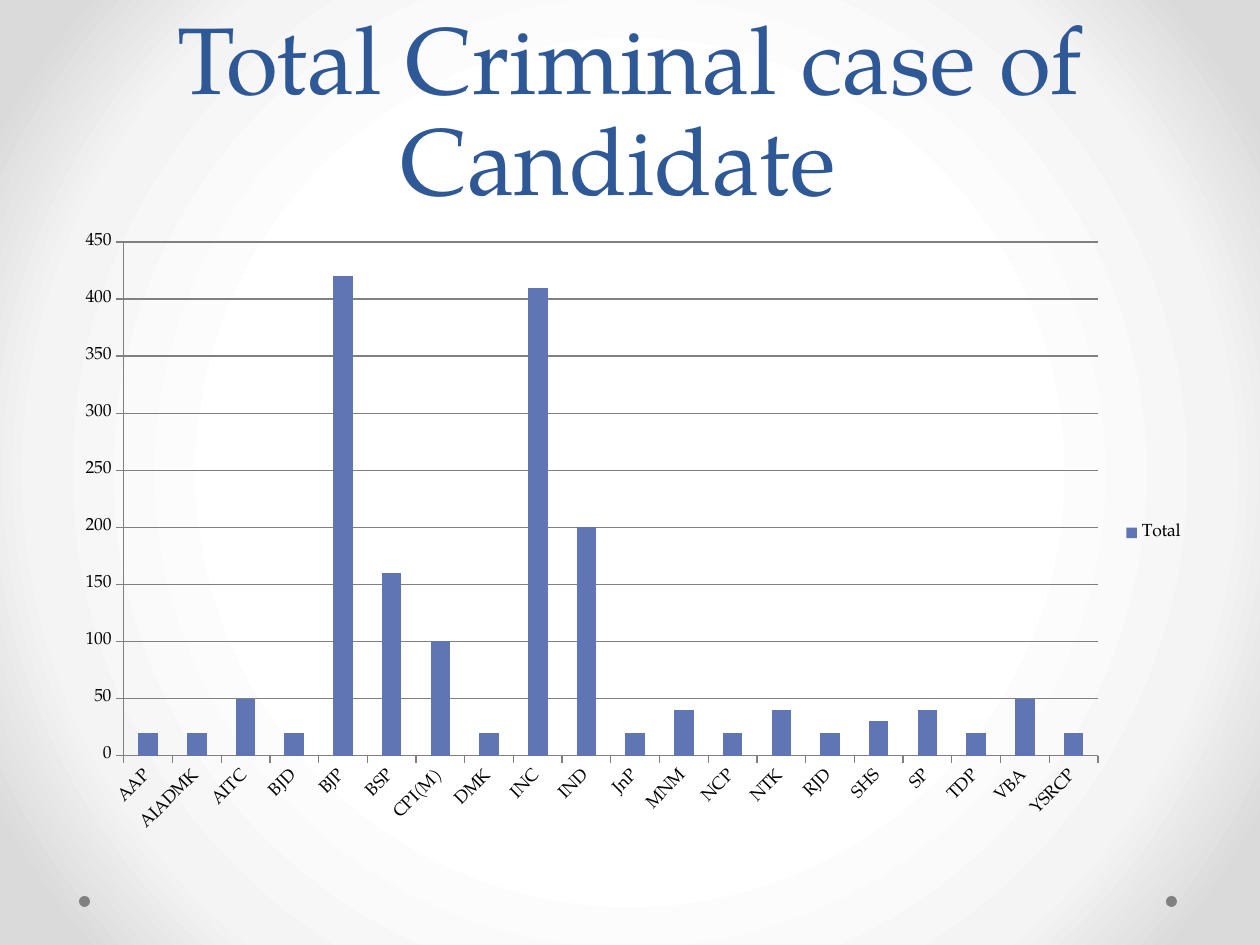
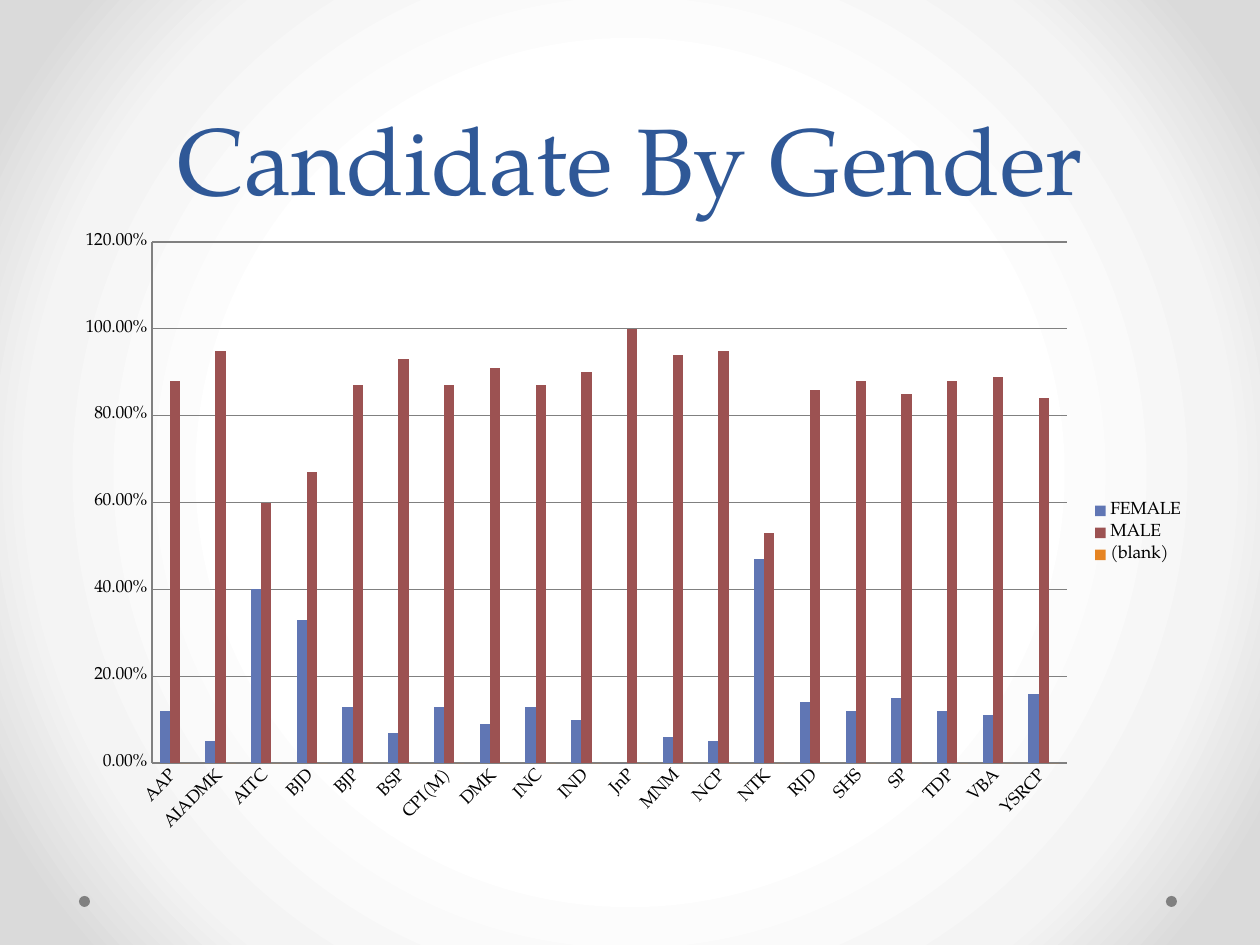
"""Two slides of election charts with a shared title style, backdrop and corner dots."""
from dataclasses import dataclass

from lxml.etree import SubElement
from pptx import Presentation
from pptx.chart.data import CategoryChartData
from pptx.dml.color import RGBColor
from pptx.enum.chart import XL_CHART_TYPE as Chart, XL_LEGEND_POSITION as Legend
from pptx.enum.chart import XL_TICK_MARK as Tick
from pptx.enum.shapes import MSO_SHAPE as Shape
from pptx.enum.text import MSO_ANCHOR as Anchor, MSO_AUTO_SIZE as AutoSize
from pptx.enum.text import PP_ALIGN as Align
from pptx.oxml.ns import qn
from pptx.util import Emu, Pt

PX = 914400 // 126
FONT = "TeX Gyre Pagella"
BLACK, GRAY, NAVY = "000000", "808080", "2F5897"
BLUE, RED, ORANGE = "6076B4", "9C5252", "E68422"
BACKDROP = ((50, "FFFFFF"), (76, "F4F4F4"), (92, "DADADA"))
DOT_LEFTS, DOT_TOP, DOT_SIZE = (79, 1166), 896, 11
LEFT, WIDTH = 63, 1134
TITLE_BOX = (LEFT, 0, WIDTH, 221)
CHART_BOX = (LEFT, 221, WIDTH, 624)

PARTIES = ("AAP", "AIADMK", "AITC", "BJD", "BJP", "BSP", "CPI(M)", "DMK", "INC", "IND",
           "JnP", "MNM", "NCP", "NTK", "RJD", "SHS", "SP", "TDP", "VBA", "YSRCP")
CASES = (20, 20, 50, 20, 420, 160, 100, 20, 410, 200,
         20, 40, 20, 40, 20, 30, 40, 20, 50, 20)
FEMALE = (0.12, 0.05, 0.4, 0.33, 0.13, 0.07, 0.13, 0.09, 0.13, 0.1,
          0, 0.06, 0.05, 0.47, 0.14, 0.12, 0.15, 0.12, 0.11, 0.16)
MALE = tuple(round(1 - share, 2) for share in FEMALE)


@dataclass(frozen=True)
class Series:
    """One set of columns."""
    name: str
    values: tuple
    color: str


@dataclass(frozen=True)
class ChartSlide:
    """A title and the column chart below it."""
    title: str
    series: tuple
    top: float
    step: float
    number_format: str
    tick: Tick


SLIDES = (
    ChartSlide("Total Criminal case of Candidate ", (Series("Total", CASES, BLUE),),
               450, 50, "General", Tick.OUTSIDE),
    ChartSlide("Candidate By Gender",
               (Series("FEMALE", FEMALE, BLUE), Series("MALE", MALE, RED),
                Series("(blank)", (0,) * len(PARTIES), ORANGE)),
               1.2, 0.2, "0.00%", Tick.NONE),
)


def rgb(color: str) -> RGBColor:
    """Turn a hex string into a colour."""
    return RGBColor.from_string(color)


def emu(*pixels: int) -> list:
    """Turn pixels into EMU."""
    return [Emu(n * PX) for n in pixels]


def set_font(font, size: float, color: str) -> None:
    """Apply the deck's typeface with a size and colour."""
    font.name, font.size = FONT, Pt(size)
    font.color.rgb = rgb(color)


def write_text(tf, text: str, *, size: float, color: str, align: Align,
               anchor: Anchor, spacing: float) -> None:
    """Fill a text frame with one formatted paragraph."""
    tf.word_wrap, tf.auto_size, tf.vertical_anchor = True, AutoSize.NONE, anchor
    p = tf.paragraphs[0]
    p.alignment, p.line_spacing = align, Pt(spacing)
    r = p.add_run()
    r.text = text
    set_font(r.font, size, color)


def set_backdrop(master) -> None:
    """Give the master a circular gradient that darkens outwards."""
    master.background.fill.gradient()
    grad = master.element.find(".//" + qn("a:gradFill"))
    for child in list(grad):
        grad.remove(child)
    stops = SubElement(grad, qn("a:gsLst"))
    for percent, color in BACKDROP:
        stop = SubElement(stops, qn("a:gs"), pos=str(percent * 1000))
        SubElement(stop, qn("a:srgbClr"), val=color)
    circle = SubElement(grad, qn("a:path"), {"path": "circle"})
    SubElement(circle, qn("a:fillToRect"), dict.fromkeys("ltrb", "50000"))


def add_dots(s) -> None:
    """Draw the dots in the two bottom corners."""
    for left in DOT_LEFTS:
        sp = s.shapes.add_shape(Shape.OVAL, *emu(left, DOT_TOP, DOT_SIZE, DOT_SIZE))
        sp.shadow.inherit = False
        sp.fill.solid()
        sp.fill.fore_color.rgb = rgb(GRAY)
        sp.line.fill.background()


def add_title(s, text: str) -> None:
    """Place and fill the title placeholder."""
    title = s.shapes.title
    title.left, title.top, title.width, title.height = emu(*TITLE_BOX)
    write_text(title.text_frame, text, size=54, color=NAVY, align=Align.CENTER,
               anchor=Anchor.BOTTOM, spacing=58)


def style_line(line) -> None:
    """Make an axis or grid line thin and gray."""
    line.color.rgb = rgb(GRAY)
    line.width = Pt(0.75)


def add_columns(s, content: ChartSlide) -> None:
    """Add the clustered column chart."""
    data = CategoryChartData(number_format=content.number_format)
    data.categories = PARTIES
    for item in content.series:
        data.add_series(item.name, item.values)
    chart = s.shapes.add_chart(Chart.COLUMN_CLUSTERED, *emu(*CHART_BOX), data).chart
    chart.has_title = False
    set_font(chart.font, 10, BLACK)
    chart.has_legend = True
    chart.legend.position = Legend.RIGHT
    chart.legend.include_in_layout = False

    plot = chart.plots[0]
    plot.gap_width, plot.overlap, plot.vary_by_categories = 150, 0, False
    for series, item in zip(plot.series, content.series):
        series.format.fill.solid()
        series.format.fill.fore_color.rgb = rgb(item.color)
        series.invert_if_negative = False

    cats, vals = chart.category_axis, chart.value_axis
    for axis in (cats, vals):
        axis.major_tick_mark, axis.minor_tick_mark = content.tick, Tick.NONE
        style_line(axis.format.line)
        set_font(axis.tick_labels.font, 10, BLACK)
    cats.has_major_gridlines = False
    cats._element.txPr.find(qn("a:bodyPr")).set("rot", "-2700000")
    vals.has_major_gridlines = True
    style_line(vals.major_gridlines.format.line)
    vals.minimum_scale, vals.maximum_scale, vals.major_unit = 0, content.top, content.step
    vals.tick_labels.number_format = content.number_format
    vals.tick_labels.number_format_is_linked = False


def main() -> None:
    """Build and save the deck."""
    prs = Presentation()
    prs.slide_width, prs.slide_height = emu(1260, 945)
    set_backdrop(prs.slide_master)
    title_only = prs.slide_layouts.get_by_name("Title Only")
    for content in SLIDES:
        s = prs.slides.add_slide(title_only)
        add_dots(s)
        add_title(s, content.title)
        add_columns(s, content)
    prs.save("out.pptx")


main()
